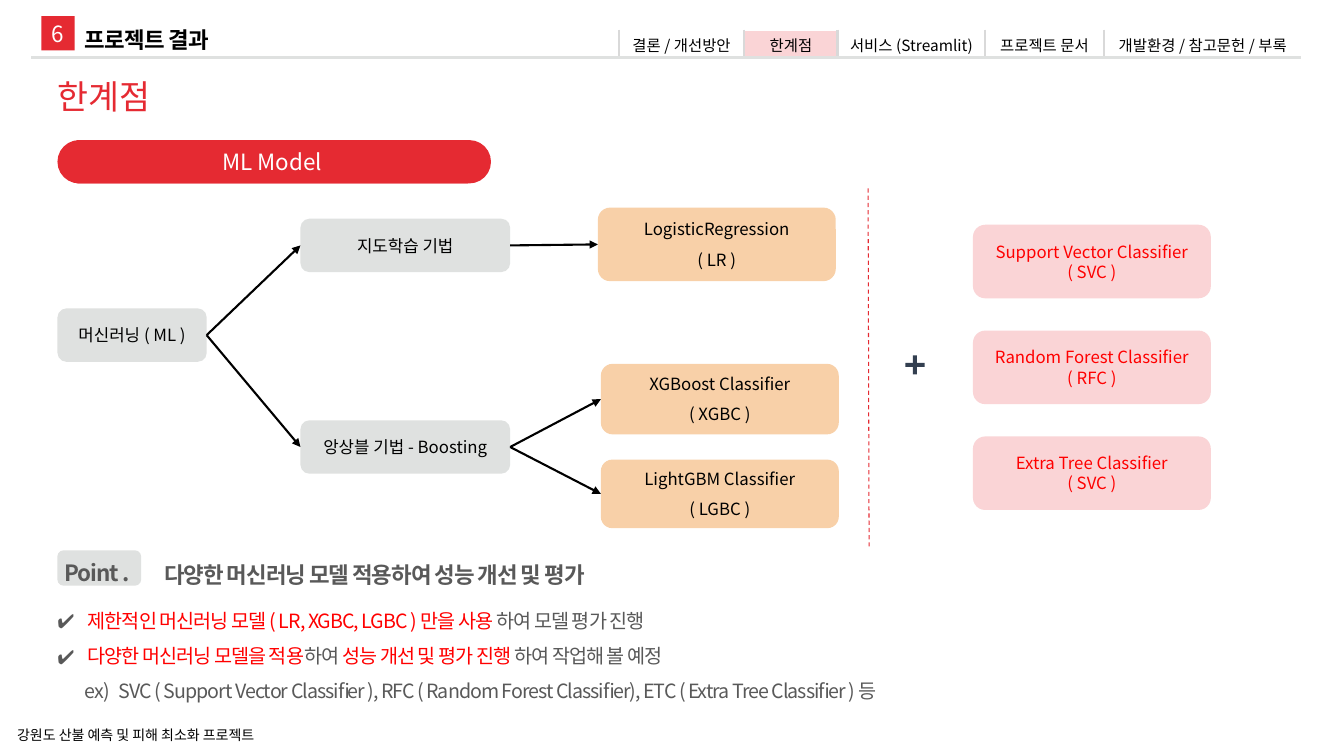
"""Build the slide on the limits of the machine learning models."""
from dataclasses import dataclass, field
from typing import Any

from lxml import etree
from pptx import Presentation
from pptx import util as u
from pptx.dml.color import RGBColor
from pptx.enum import dml, shapes, text
from pptx.oxml import ns

FONT = "Noto Sans CJK KR"
HEX = {"red": "E52A32", "pure": "FF0000", "pink": "FAD4D6", "tan": "F8D0A8",
       "gray": "DFE1E0", "rule": "D9D9D9", "ink": "595959", "navy": "333F50",
       "black": "000000", "white": "FFFFFF"}
ROUND = shapes.MSO_SHAPE.ROUNDED_RECTANGLE
RECT = shapes.MSO_SHAPE.RECTANGLE
MID = text.MSO_ANCHOR.MIDDLE
CENTER = text.PP_ALIGN.CENTER
BARE = {"margin_left": 0, "margin_right": 0, "margin_top": 0, "margin_bottom": 0}


@dataclass
class Para:
    """A paragraph with its runs and format."""
    runs: list[tuple[str, str]]
    size: float = 12
    bold: bool = False
    track: int = 0
    form: dict[str, Any] = field(default_factory=dict)
    left: float = 0
    hang: float = 0
    mark: str = ""


@dataclass
class Box:
    """A filled shape with its text."""
    at: tuple[float, float, float, float]
    fill: str
    paras: list[Para] = field(default_factory=list)
    kind: Any = ROUND
    turn: int = 0
    frame: dict[str, Any] = field(default_factory=dict)
    round: float = 0.1667


def apply(item: Any, form: dict[str, Any]) -> None:
    """Set each format value on the item."""
    for name, value in form.items():
        setattr(item, name, value)


def tint(name: str) -> RGBColor:
    """Return the colour of that name."""
    return RGBColor.from_string(HEX[name])


def node(parent: Any, tag: str, **attrs: str) -> Any:
    """Add an XML child."""
    return etree.SubElement(parent, ns.qn(tag), attrs)


def indent(line: Any, para: Para) -> None:
    """Set the indent with a bullet or a tab stop."""
    props = line._p.get_or_add_pPr()
    props.set("marL", str(u.Inches(para.left)))
    props.set("indent", str(u.Inches(-para.hang)))
    if para.mark:
        node(node(props, "a:buClr"), "a:srgbClr", val=HEX["ink"])
        node(props, "a:buFont", typeface=FONT)
        node(props, "a:buChar", char=para.mark)
    elif para.hang:
        stops = node(props, "a:tabLst")
        node(stops, "a:tab", pos=str(u.Inches(para.left)), algn="l")


def write(frame: Any, paras: list[Para]) -> None:
    """Fill a text frame with paragraphs."""
    for i, para in enumerate(paras):
        line = frame.add_paragraph() if i else frame.paragraphs[0]
        if para.left:
            indent(line, para)
        apply(line, para.form)
        for words, color in para.runs:
            run = line.add_run()
            run.text = words
            apply(run.font, {"name": FONT, "size": u.Pt(para.size), "bold": para.bold})
            run.font.color.rgb = tint(color)
            props = run._r.get_or_add_rPr()
            node(props, "a:ea", typeface=FONT)
            if para.track:
                props.set("spc", str(para.track))


def center(words: str, color: str = "black", size: float = 12, gap: float = 0) -> Para:
    """Return a centred paragraph."""
    form = {"alignment": CENTER}
    if gap:
        form["space_before"] = u.Pt(gap)
    return Para([(words, color)], size, form=form)


def draw(slide: Any, box: Box) -> Any:
    """Draw a filled shape."""
    shape = slide.shapes.add_shape(box.kind, *map(u.Inches, box.at))
    shape.shadow.inherit = False
    shape.fill.solid()
    shape.fill.fore_color.rgb = tint(box.fill)
    shape.line.fill.background()
    shape.rotation = box.turn
    if box.kind == ROUND:
        shape.adjustments[0] = box.round
    apply(shape.text_frame, {"vertical_anchor": MID, "word_wrap": True, **box.frame})
    write(shape.text_frame, box.paras)
    return shape


def label(slide: Any, at: tuple[float, float, float, float], paras: list[Para],
          **frame: Any) -> None:
    """Draw a text box without insets."""
    area = slide.shapes.add_textbox(*map(u.Inches, at)).text_frame
    apply(area, {**BARE, "word_wrap": True, **frame})
    write(area, paras)


def link(slide: Any, ends: tuple[float, float, float, float], color: str,
         width: float) -> Any:
    """Draw a straight line."""
    line = slide.shapes.add_connector(shapes.MSO_CONNECTOR.STRAIGHT, *map(u.Inches, ends))
    line.line.color.rgb = tint(color)
    line.line.width = u.Pt(width)
    node(line._element.spPr, "a:effectLst")
    return line


def arrow(slide: Any, start: Any, end: Any) -> None:
    """Join the right side of one box to the left side of another."""
    line = link(slide, (0, 0, 1, 1), "black", 1.5)
    line.begin_connect(start, 3)
    line.end_connect(end, 1)
    node(line.line._get_or_add_ln(), "a:tailEnd", type="triangle")


def menu(slide: Any, tabs: dict[str, float], now: str) -> None:
    """Draw the section menu as a table."""
    at = map(u.Inches, (6.14, 0.3, sum(tabs.values()), 0.28))
    table = slide.shapes.add_table(1, len(tabs), *at).table
    apply(table, {"first_row": False, "horz_banding": False})
    for i, (name, width) in enumerate(tabs.items()):
        table.columns[i].width = u.Inches(width)
        cell = table.cell(0, i)
        apply(cell, {**BARE, "vertical_anchor": MID})
        write(cell.text_frame, [center(name, size=11)])
        if name == now:
            cell.fill.solid()
            cell.fill.fore_color.rgb = tint("pink")
        else:
            cell.fill.background()
        props = cell._tc.get_or_add_tcPr()
        for k, side in enumerate(("a:lnL", "a:lnR")[:1 if i == len(tabs) - 1 else 2]):
            edge = node(props, side, w=str(u.Pt(2.25)))
            node(node(edge, "a:solidFill"), "a:srgbClr", val=HEX["rule"])
            props.insert(k, edge)


def main() -> None:
    """Build and save the slide."""
    deck = Presentation()
    apply(deck, {"slide_width": u.Inches(13.33), "slide_height": u.Inches(7.5)})
    slide = deck.slides.add_slide(deck.slide_layouts[5])
    title = slide.shapes.title
    apply(title, dict(zip(("left", "top", "width", "height"),
                          map(u.Inches, (0.57, 0.75, 4.41, 0.4)))))
    apply(title.text_frame, {**BARE, "vertical_anchor": text.MSO_ANCHOR.TOP,
                             "auto_size": text.MSO_AUTO_SIZE.NONE})
    write(title.text_frame, [Para([("한계점", "red")], 24,
                                  form={"alignment": text.PP_ALIGN.LEFT})])
    label(slide, (0.17, 7.21, 2.42, 0.17),
          [Para([("강원도 산불 예측 및 피해 최소화 프로젝트", "black")], 10)], word_wrap=False)
    draw(slide, Box((0.57, 1.39, 4.3, 0.43), "red", round=0.5))
    draw(slide, Box((0.76, 1.39, 3.88, 0.43), "red",
                    [center("ML Model", "white", 16)], RECT))

    wide = {"line_spacing": 1.5}
    item = {"size": 14, "track": -70, "left": 0.3, "hang": 0.3, "mark": "✔"}
    label(slide, (0.57, 5.43, 9.33, 1.54), [
        Para([("다양한 머신러닝 모델 적용하여 성능 개선 및 평가", "ink")], 16, True, -70, wide, 1.06),
        Para([("제한적인 머신러닝 모델 ( LR, XGBC, LGBC ) 만을 사용 ", "pure"),
              ("하여 모델 평가 진행", "ink")], form={**wide, "space_before": u.Pt(6.5)}, **item),
        Para([("다양한 머신러닝 모델을 적용", "pure"), ("하여 ", "ink"),
              ("성능 개선 및 평가 진행 ", "pure"), ("하여 작업해 볼 예정", "ink")],
             form=wide, **item),
        Para([("ex)\tSVC ( Support Vector Classifier ), RFC ( Random Forest Classifier), "
               "ETC ( Extra Tree Classifier ) 등", "ink")], 14, False, -70, wide, 0.61, 0.34)])
    draw(slide, Box((0.57, 5.46, 0.83, 0.35), "gray"))
    label(slide, (0.64, 5.43, 0.75, 0.37),
          [Para([("Point .", "ink")], 16, True, -70, wide)], vertical_anchor=MID)

    models = [draw(slide, Box(at, "tan", [center(name), center(code, gap=7.2)]))
              for at, name, code in (
                  ((5.93, 2.06, 2.36, 0.73), "LogisticRegression", "( LR )"),
                  ((5.96, 3.61, 2.36, 0.7), "XGBoost Classifier", "( XGBC )"),
                  ((5.96, 4.56, 2.36, 0.68), "LightGBM Classifier", "( LGBC )"))]
    guide, root, boost = [draw(slide, Box((x, y, w, 0.53), "gray", [center(name)]))
                          for x, y, w, name in ((2.98, 2.17, 2.08, "지도학습 기법"),
                                                (0.57, 3.06, 1.48, "머신러닝 ( ML )"),
                                                (2.98, 4.17, 2.08, "앙상블 기법 - Boosting"))]
    for start, end in ((guide, models[0]), (boost, models[1]), (boost, models[2]),
                       (root, guide), (root, boost)):
        arrow(slide, start, end)

    split = link(slide, (8.61, 1.87, 8.62, 5.42), "red", 0.75)
    split.line.dash_style = dml.MSO_LINE.DASH
    for turn in (0, 270):
        draw(slide, Box((8.98, 3.6, 0.19, 0.04), "navy", kind=RECT, turn=turn))
    for i, (name, code) in enumerate((("Support Vector", "SVC"), ("Random Forest", "RFC"),
                                      ("Extra Tree", "SVC"))):
        draw(slide, Box((9.65, 2.23 + 1.05 * i, 2.36, 0.73), "pink",
                        [center(f"{name} Classifier", "pure"), center(f"( {code} )", "pure")]))

    menu(slide, {"결론 / 개선방안": 1.24, "한계점": 0.93, "서비스 (Streamlit)": 1.46,
                 "프로젝트 문서": 1.18, "개발환경 / 참고문헌 / 부록": 1.96}, "한계점")
    link(slide, (0.31, 0.57, 12.9, 0.57), "gray", 2.25)
    draw(slide, Box((0.41, 0.16, 0.33, 0.34), "red", [center("6", "white", 16)],
                    RECT, frame=BARE))
    label(slide, (0.84, 0.21, 1.25, 0.31),
          [Para([("프로젝트 결과", "black")], 16, True, -50, {"line_spacing": 1.2})],
          word_wrap=False)
    deck.save("out.pptx")


if __name__ == "__main__":
    main()
